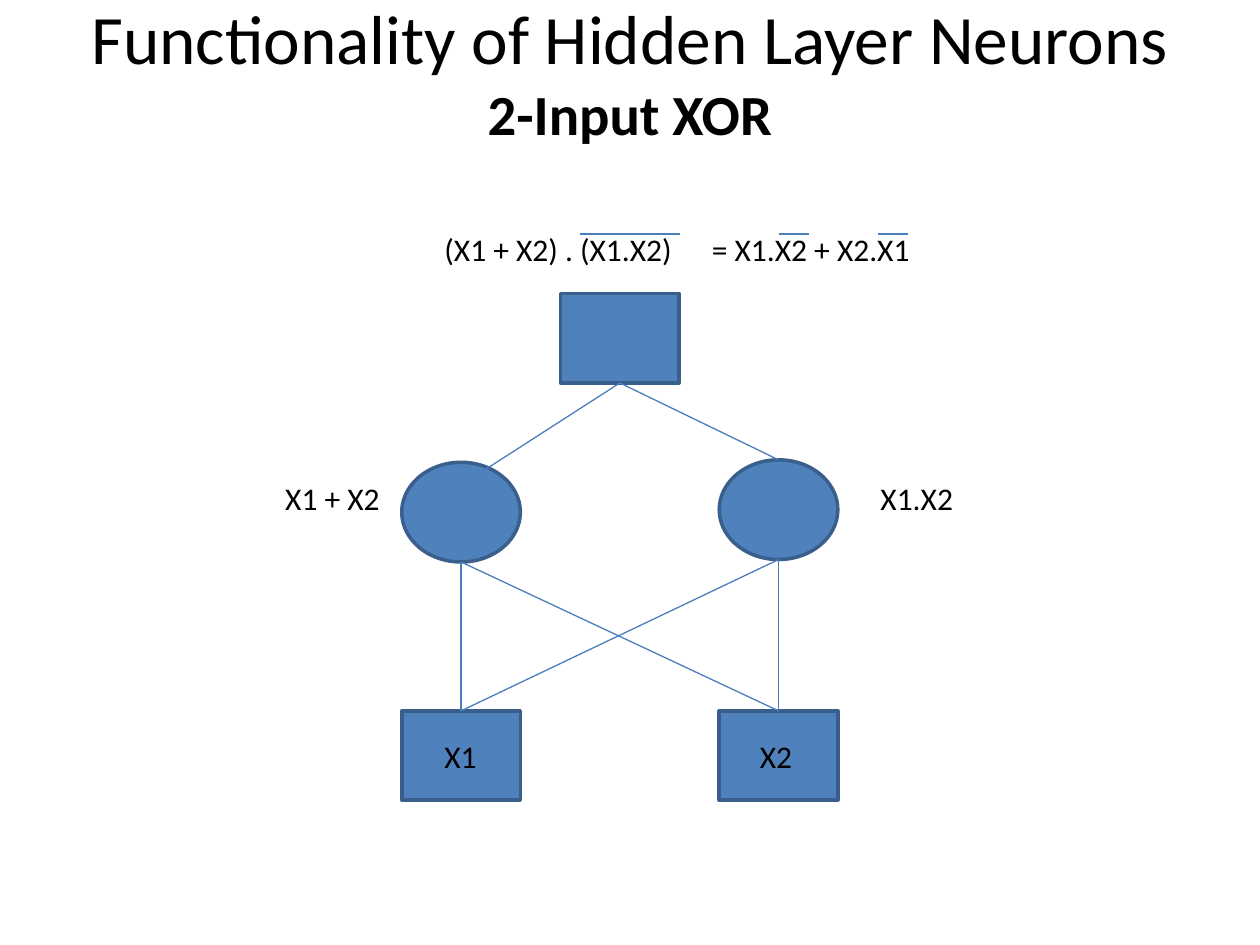
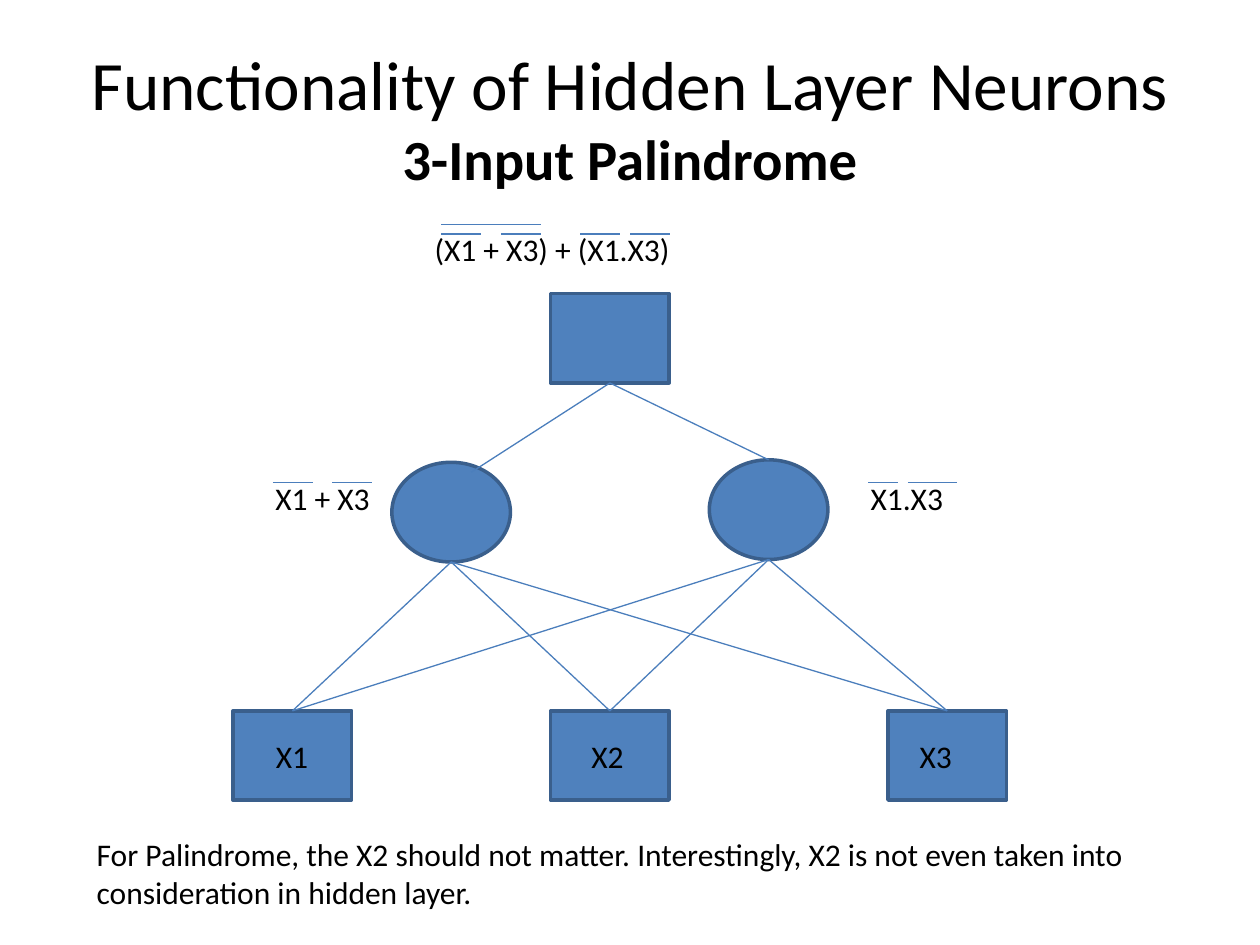
"""Build two slides on what hidden layer neurons compute."""
from lxml.etree import SubElement
from pptx import Presentation
from pptx.dml.color import RGBColor
from pptx.enum.shapes import MSO_CONNECTOR, MSO_SHAPE
from pptx.enum.text import MSO_ANCHOR, PP_ALIGN
from pptx.oxml.ns import qn
from pptx.util import Cm, Pt

FONT = "Calibri"
BLACK = "000000"
NODE_FILL = "4F81BD"
NODE_LINE = "3A5F8C"
LINK = "4B7EBC"
TITLE = "Functionality of Hidden Layer Neurons"
NODE_WIDTH = 2.39
FORMULA_TOP, HIDDEN_TOP, INPUT_TOP = 4.52, 9.53, 14.73
FORMULA_BAR, HIDDEN_BAR = 4.72, 9.73


def add_text(page, text, left, top, width, height=1.02, sizes=(18,)):
    box = page.shapes.add_textbox(Cm(left), Cm(top), Cm(width), Cm(height))
    box.text_frame.word_wrap = True
    paragraph = box.text_frame.paragraphs[0]
    paragraph.text = text
    for span, size in zip(paragraph.runs, sizes):
        span.font.name = FONT
        span.font.size = Pt(size)
        span.font.color.rgb = RGBColor.from_string(BLACK)
    return box


def add_line(page, start_x, start_y, end_x, end_y):
    line = page.shapes.add_connector(MSO_CONNECTOR.STRAIGHT, start_x, start_y, end_x, end_y)
    line.line.color.rgb = RGBColor.from_string(LINK)
    line.line.width = Pt(0.75)
    SubElement(line._element.spPr, qn("a:effectLst"))
    return line


networks = [
    {
        "subtitle": "2-Input XOR",
        "title_top": 0,
        "title_height": 2.87,
        "shift": 0,
        "inputs": [("X1", 8.1, 8.71), ("X2", 14.5, 15.07)],
        "labels": [
            ("X1 + X2", 5.5, HIDDEN_TOP, 2.6),
            ("X1.X2", 17.5, HIDDEN_TOP, 2.01),
            ("(X1 + X2) . (X1.X2)", 8.71, FORMULA_TOP, 7.19),
            ("= X1.X2 + X2.X1", 14.1, FORMULA_TOP, 9.8),
        ],
        "overbars": [
            (11.7, 13.7, FORMULA_BAR),
            (15.7, 16.3, FORMULA_BAR),
            (17.7, 18.3, FORMULA_BAR),
        ],
    },
    {
        "subtitle": "3-Input Palindrome",
        "title_top": 0.76,
        "title_height": 3.18,
        "shift": -0.2,
        "inputs": [("X1", 4.7, 5.31), ("X2", 11.1, 11.67), ("X3", 17.9, 18.29)],
        "labels": [
            ("X1 + X3", 5.3, HIDDEN_TOP, 2.6),
            ("X1.X3", 17.3, HIDDEN_TOP, 2.01),
            ("(X1 + X3) + (X1.X3)", 8.51, FORMULA_TOP, 7.19),
            ("For Palindrome, the X2 should not matter. Interestingly, "
             "X2 is not even taken into consideration in hidden layer.", 1.7, 16.71, 22.6),
        ],
        "overbars": [
            (5.5, 6.3, HIDDEN_BAR),
            (6.7, 7.5, HIDDEN_BAR),
            (17.5, 18.1, HIDDEN_BAR),
            (18.3, 19.3, HIDDEN_BAR),
            (8.9, 9.7, FORMULA_BAR),
            (10.1, 10.9, FORMULA_BAR),
            (11.7, 12.5, FORMULA_BAR),
            (12.7, 13.5, FORMULA_BAR),
            (8.9, 10.9, FORMULA_TOP),
        ],
    },
]

deck = Presentation()
deck.slide_width, deck.slide_height = Cm(25.4), Cm(19.05)

for network in networks:
    page = deck.slides.add_slide(deck.slide_layouts[6])
    title = add_text(page, f"{TITLE}\v{network['subtitle']}", 1.27, network["title_top"],
                     22.86, network["title_height"], (39.6, 32.4))
    title.text_frame.vertical_anchor = MSO_ANCHOR.MIDDLE
    title.text_frame.margin_top = title.text_frame.margin_bottom = 0
    heading = title.text_frame.paragraphs[0]
    heading.alignment = PP_ALIGN.CENTER
    heading.runs[1].font.bold = True

    shift = network["shift"]
    node_places = [
        (MSO_SHAPE.RECTANGLE, 11.3 + shift, 5.92, 1.8),
        (MSO_SHAPE.OVAL, 8.1 + shift, 9.32, 2.01),
        (MSO_SHAPE.OVAL, 14.5 + shift, 9.27, 2.01),
    ]
    node_places += [(MSO_SHAPE.RECTANGLE, left, 14.33, 1.8) for _, left, _ in network["inputs"]]
    nodes = []
    for kind, left, top, height in node_places:
        node = page.shapes.add_shape(kind, Cm(left), Cm(top), Cm(NODE_WIDTH), Cm(height))
        node.shadow.inherit = False
        node.fill.solid()
        node.fill.fore_color.rgb = RGBColor.from_string(NODE_FILL)
        node.line.color.rgb = RGBColor.from_string(NODE_LINE)
        node.line.width = Pt(2)
        nodes.append(node)
    output, left_hidden, right_hidden, *input_nodes = nodes

    left_link = add_line(page, 0, 0, Cm(9.7 + shift), Cm(9.52))
    left_link.begin_connect(output, 2)
    right_link = add_line(page, 0, 0, 0, 0)
    right_link.begin_connect(output, 2)
    right_link.end_connect(right_hidden, 0)
    for input_node in input_nodes:
        for hidden in (left_hidden, right_hidden):
            link = add_line(page, 0, 0, hidden.left + hidden.width // 2, hidden.top + hidden.height)
            link.begin_connect(input_node, 0)

    for name, _, label_left in network["inputs"]:
        add_text(page, name, label_left, INPUT_TOP, 1.6)
    for text, left, top, width in network["labels"]:
        add_text(page, text, left, top, width)
    for start, end, height in network["overbars"]:
        add_line(page, Cm(start), Cm(height), Cm(end), Cm(height))

deck.save("out.pptx")
